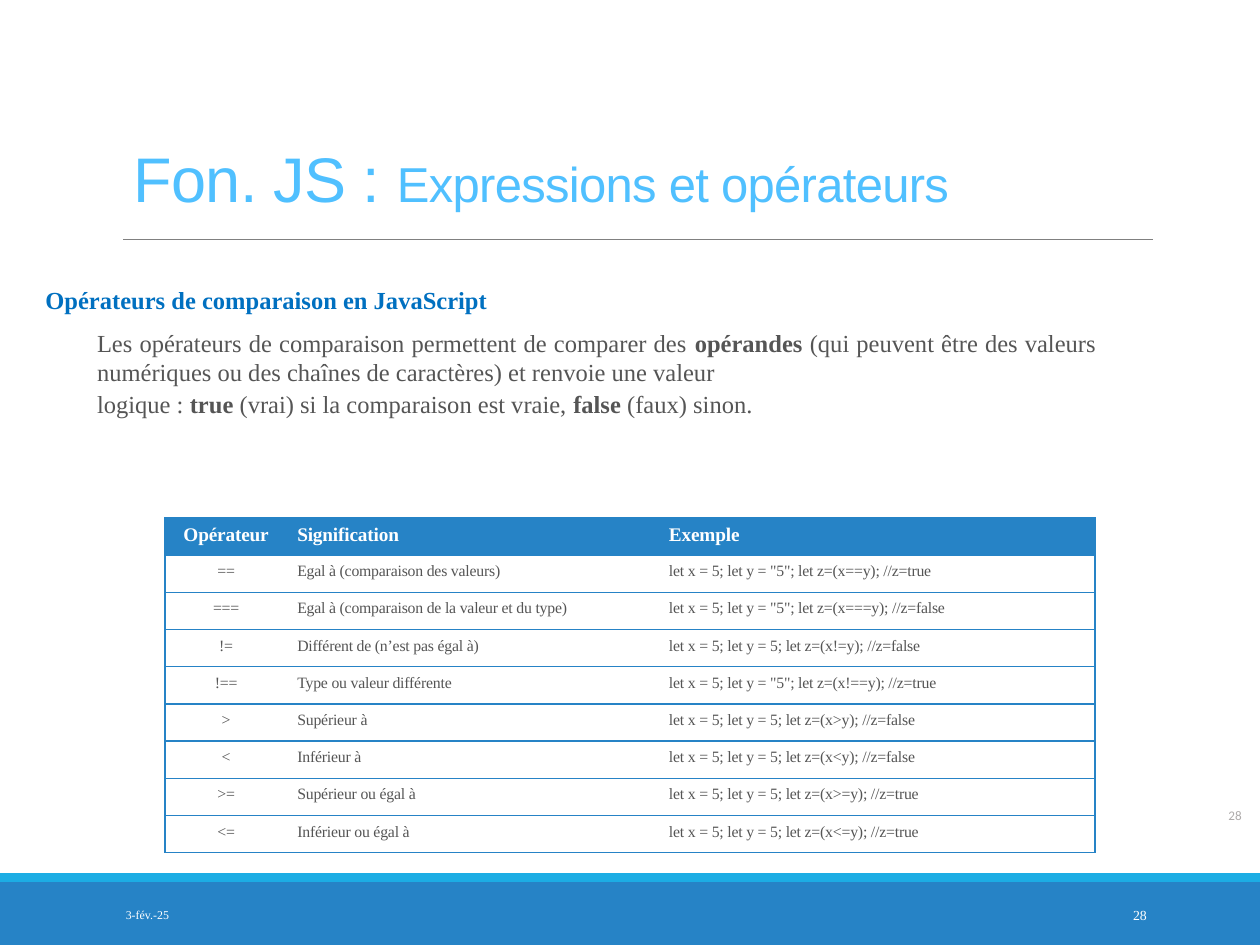
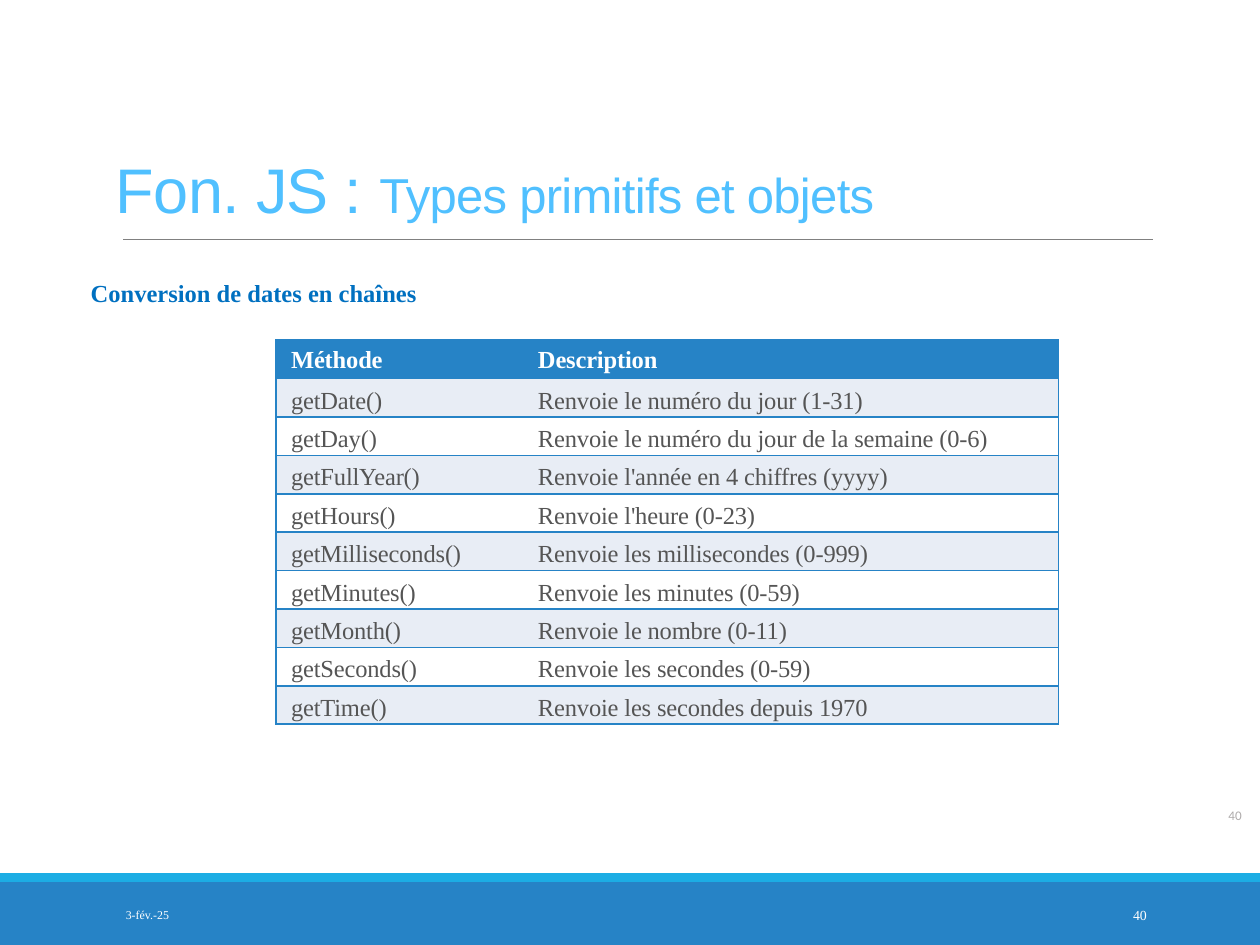
from dataclasses import dataclass

from lxml.etree import SubElement
from pptx import Presentation
from pptx.dml.color import RGBColor
from pptx.enum.shapes import MSO_CONNECTOR as Connector, MSO_SHAPE as Preset
from pptx.enum.text import MSO_ANCHOR as Anchor, MSO_AUTO_SIZE as AutoSize, PP_ALIGN as Align
from pptx.oxml import parse_xml
from pptx.oxml.ns import nsdecls, qn
from pptx.util import Inches, Pt

BLUE, CYAN, SKY, LINK_BLUE = "2683C6", "1CADE4", "50C0FF", "0070C0"
TEXT_GRAY, RULE_GRAY, NUMBER_GRAY = "555555", "808080", "AEABAB"
WHITE, STRIPE = "FFFFFF", "E8EDF5"
SERIF, SANS, SMALL_SANS = "Times New Roman", "Arial", "Calibri"
PLAIN_TABLE_STYLE = "{2D5ABB26-0587-4C30-8999-92F81FD0307C}"
DATE = "3-fév.-25"


@dataclass(frozen=True)
class Area:
    left: float
    top: float
    width: float
    height: float

    def lengths(self) -> tuple:
        return tuple(Inches(v) for v in (self.left, self.top, self.width, self.height))


@dataclass(frozen=True)
class Paragraph:
    """Spans are (text, bold) pairs."""
    spans: tuple
    color: str = TEXT_GRAY
    indent: float = 0.45
    right_indent: float = 0
    before: float = 0
    align: Align = Align.LEFT


@dataclass(frozen=True)
class TableLook:
    area: Area
    widths: tuple
    header_size: float
    body_size: float
    body_top: float
    indents: tuple
    aligns: tuple
    stripe: str = WHITE


@dataclass(frozen=True)
class Page:
    number: int
    topic: str
    title_area: Area
    body_area: Area
    paragraphs: tuple
    look: TableLook
    rows: tuple


def rgb(color: str) -> RGBColor:
    return RGBColor.from_string(color)


def add_span(para, text: str, *, size: float, color: str, font: str = SERIF,
             bold: bool = False, tracking: float = 0) -> None:
    """Append formatted text; tracking is the letter spacing in points."""
    span = para.add_run()
    span.text = text
    span.font.size = Pt(size)
    span.font.name = font
    span.font.bold = bold
    span.font.color.rgb = rgb(color)
    if tracking:
        span._r.get_or_add_rPr().set("spc", str(round(tracking * 100)))


def set_insets(frame, left: float, top: float) -> None:
    frame.margin_left = frame.margin_right = Inches(left)
    frame.margin_top = frame.margin_bottom = Inches(top)


def place(shape, area: Area) -> None:
    shape.left, shape.top, shape.width, shape.height = area.lengths()


def add_label(slide, area: Area, text: str, *, align: Align = Align.LEFT,
              anchor: Anchor = Anchor.MIDDLE, insets: tuple = (0.1, 0.05), **style) -> None:
    frame = slide.shapes.add_textbox(*area.lengths()).text_frame
    frame.word_wrap = True
    frame.vertical_anchor = anchor
    set_insets(frame, *insets)
    para = frame.paragraphs[0]
    para.alignment = align
    add_span(para, text, **style)


def add_band(slide, area: Area, color: str) -> None:
    band = slide.shapes.add_shape(Preset.RECTANGLE, *area.lengths())
    band.shadow.inherit = False
    band.fill.solid()
    band.fill.fore_color.rgb = rgb(color)
    band.line.fill.background()


def draw_frame(slide, number: int) -> None:
    """Draw the bands, title rule, date and page numbers."""
    add_band(slide, Area(0, 7, 10, 0.5), BLUE)
    add_band(slide, Area(0, 6.93, 10, 0.07), CYAN)
    rule = slide.shapes.add_connector(Connector.STRAIGHT, Inches(0.98), Inches(1.9),
                                      Inches(9.15), Inches(1.9))
    rule.line.color.rgb = rgb(RULE_GRAY)
    rule.line.width = Pt(0.5)
    SubElement(rule._element.spPr, qn("a:effectLst"))
    add_label(slide, Area(0.9, 7.06, 2.03, 0.4), DATE, size=6.8, color=WHITE)
    add_label(slide, Area(8.12, 7.06, 1.08, 0.4), str(number),
              align=Align.RIGHT, size=7.9, color=WHITE)
    add_label(slide, Area(9.72, 6.41, 0.2, 0.11), str(number), anchor=Anchor.TOP,
              insets=(0.03, 0), size=7.5, color=NUMBER_GRAY, font=SMALL_SANS)


def fill_title(slide, topic: str, area: Area) -> None:
    title = slide.shapes.title
    place(title, area)
    frame = title.text_frame
    frame.auto_size = AutoSize.NONE
    frame.vertical_anchor = Anchor.BOTTOM
    para = frame.paragraphs[0]
    para.alignment = Align.LEFT
    para.line_spacing = 0.85
    for text, size in (("Fon. JS : ", 36), (topic, 28)):
        add_span(para, text, size=size, color=SKY, font=SANS, tracking=-0.4)


def fill_body(slide, paragraphs: tuple, area: Area) -> None:
    body = slide.placeholders[1]
    place(body, area)
    frame = body.text_frame
    frame.auto_size = AutoSize.NONE
    set_insets(frame, 0, 0.01)
    for index, item in enumerate(paragraphs):
        para = frame.add_paragraph() if index else frame.paragraphs[0]
        para.alignment = item.align
        para.space_before = Pt(item.before)
        properties = para._p.get_or_add_pPr()
        properties.set("marL", str(Inches(item.indent)))
        properties.set("marR", str(Inches(item.right_indent)))
        properties.set("indent", "0")
        SubElement(properties, qn("a:buNone"))
        for text, bold in item.spans:
            add_span(para, text, size=14, color=item.color, bold=bold)


def set_borders(cell, sides: str) -> None:
    """Draw a blue line on each side named by L, R, T or B."""
    properties = cell._tc.get_or_add_tcPr()
    for index, side in enumerate(sides):
        properties.insert(index, parse_xml(
            f'<a:ln{side} {nsdecls("a")} w="{Pt(1)}"><a:solidFill>'
            f'<a:srgbClr val="{BLUE}"/></a:solidFill></a:ln{side}>'))


def add_grid(slide, look: TableLook, rows: tuple) -> None:
    last = len(look.widths) - 1
    holder = slide.shapes.add_table(len(rows), last + 1, *look.area.lengths())
    table = holder.table
    table.horz_banding = False
    table._tbl.tblPr.find(qn("a:tableStyleId")).text = PLAIN_TABLE_STYLE
    for column, width in zip(table.columns, look.widths):
        column.width = Inches(width)
    for r, values in enumerate(rows):
        header = r == 0
        fill = BLUE if header else look.stripe if r % 2 else WHITE
        for c, text in enumerate(values):
            cell = table.cell(r, c)
            cell.margin_left = Inches(look.indents[c])
            cell.margin_top = Inches(0.05 if header else look.body_top)
            cell.margin_right = cell.margin_bottom = 0
            cell.fill.solid()
            cell.fill.fore_color.rgb = rgb(fill)
            set_borders(cell, ("L" if c == 0 else "") + ("R" if c == last else "") + "TB")
            para = cell.text_frame.paragraphs[0]
            para.alignment = look.aligns[c]
            add_span(para, text, size=look.header_size if header else look.body_size,
                     color=WHITE if header else TEXT_GRAY, bold=header, tracking=-0.1)


OPERATORS = (
    ("==", "Egal à (comparaison des valeurs)", '"5"', "true"),
    ("===", "Egal à (comparaison de la valeur et du type)", '"5"', "false"),
    ("!=", "Différent de (n’est pas égal à)", "5", "false"),
    ("!==", "Type ou valeur différente", '"5"', "true"),
    (">", "Supérieur à", "5", "false"),
    ("<", "Inférieur à", "5", "false"),
    (">=", "Supérieur ou égal à", "5", "true"),
    ("<=", "Inférieur ou égal à", "5", "true"),
)
OPERATOR_ROWS = (("Opérateur", "Signification", "Exemple"),) + tuple(
    (sign, meaning, f"let x = 5; let y = {y}; let z=(x{sign}y); //z={result}")
    for sign, meaning, y, result in OPERATORS)

METHOD_ROWS = (
    ("Méthode", "Description"),
    ("getDate()", "Renvoie le numéro du jour (1-31)"),
    ("getDay()", "Renvoie le numéro du jour de la semaine (0-6)"),
    ("getFullYear()", "Renvoie l'année en 4 chiffres (yyyy)"),
    ("getHours()", "Renvoie l'heure (0-23)"),
    ("getMilliseconds()", "Renvoie les millisecondes (0-999)"),
    ("getMinutes()", "Renvoie les minutes (0-59)"),
    ("getMonth()", "Renvoie le nombre (0-11)"),
    ("getSeconds()", "Renvoie les secondes (0-59)"),
    ("getTime()", "Renvoie les secondes depuis 1970"),
)

PAGES = (
    Page(
        28, "Expressions et opérateurs",
        Area(0.96, 0.68, 7.84, 1.08), Area(0.32, 2.25, 9.13, 1.1),
        (
            Paragraph((("Opérateurs de comparaison en JavaScript", True),),
                      color=LINK_BLUE, indent=0.04),
            Paragraph((("Les opérateurs de comparaison permettent de comparer des ", False),
                       ("opérandes ", True),
                       ("(qui peuvent être des valeurs numériques ou des chaînes de "
                        "caractères) et renvoie une valeur", False)),
                      right_indent=0.75, before=7.9, align=Align.JUSTIFY),
            Paragraph((("logique : ", False), ("true ", True),
                       ("(vrai) si la comparaison est vraie, ", False),
                       ("false ", True), ("(faux) sinon.", False)), before=1.3),
        ),
        TableLook(Area(1.31, 4.11, 7.38, 2.66), (0.89, 2.95, 3.54), 11, 9, 0.06,
                  (0.08, 0.16, 0.16), (Align.CENTER, Align.LEFT, Align.LEFT)),
        OPERATOR_ROWS,
    ),
    Page(
        40, "Types primitifs et objets",
        Area(0.82, 0.77, 7.84, 1.08), Area(0.27, 2.2, 4.08, 0.25),
        (Paragraph((("Conversion de dates en chaînes", True),), color=LINK_BLUE),),
        TableLook(Area(2.19, 2.7, 6.21, 3.05), (1.96, 4.25), 14, 14, 0.07,
                  (0.12, 0.12), (Align.LEFT, Align.LEFT), stripe=STRIPE),
        METHOD_ROWS,
    ),
)


def main() -> None:
    deck = Presentation()
    deck.slide_width, deck.slide_height = Inches(10), Inches(7.5)
    for page in PAGES:
        slide = deck.slides.add_slide(deck.slide_layouts[1])
        draw_frame(slide, page.number)
        fill_title(slide, page.topic, page.title_area)
        fill_body(slide, page.paragraphs, page.body_area)
        add_grid(slide, page.look, page.rows)
    deck.save("out.pptx")


if __name__ == "__main__":
    main()
